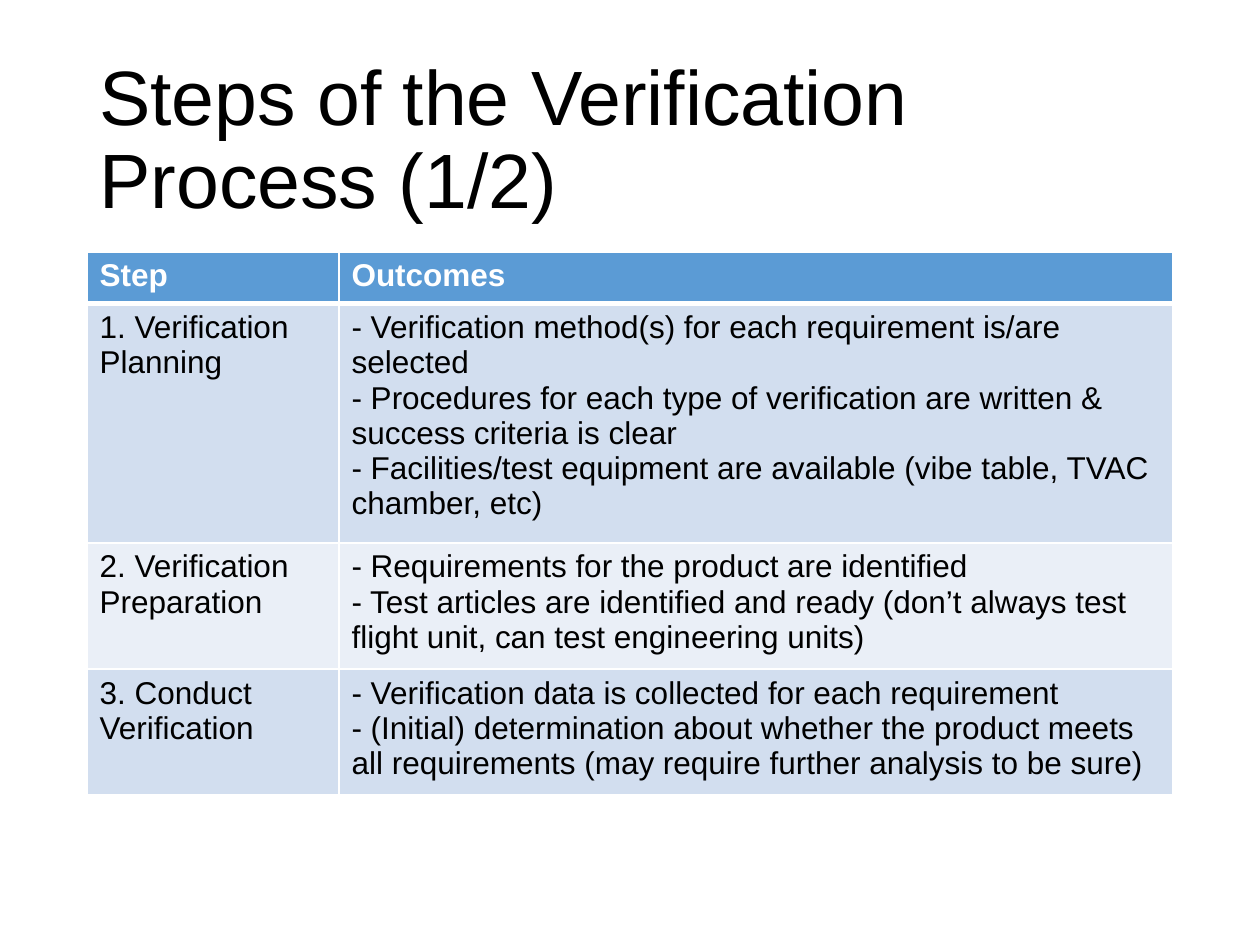
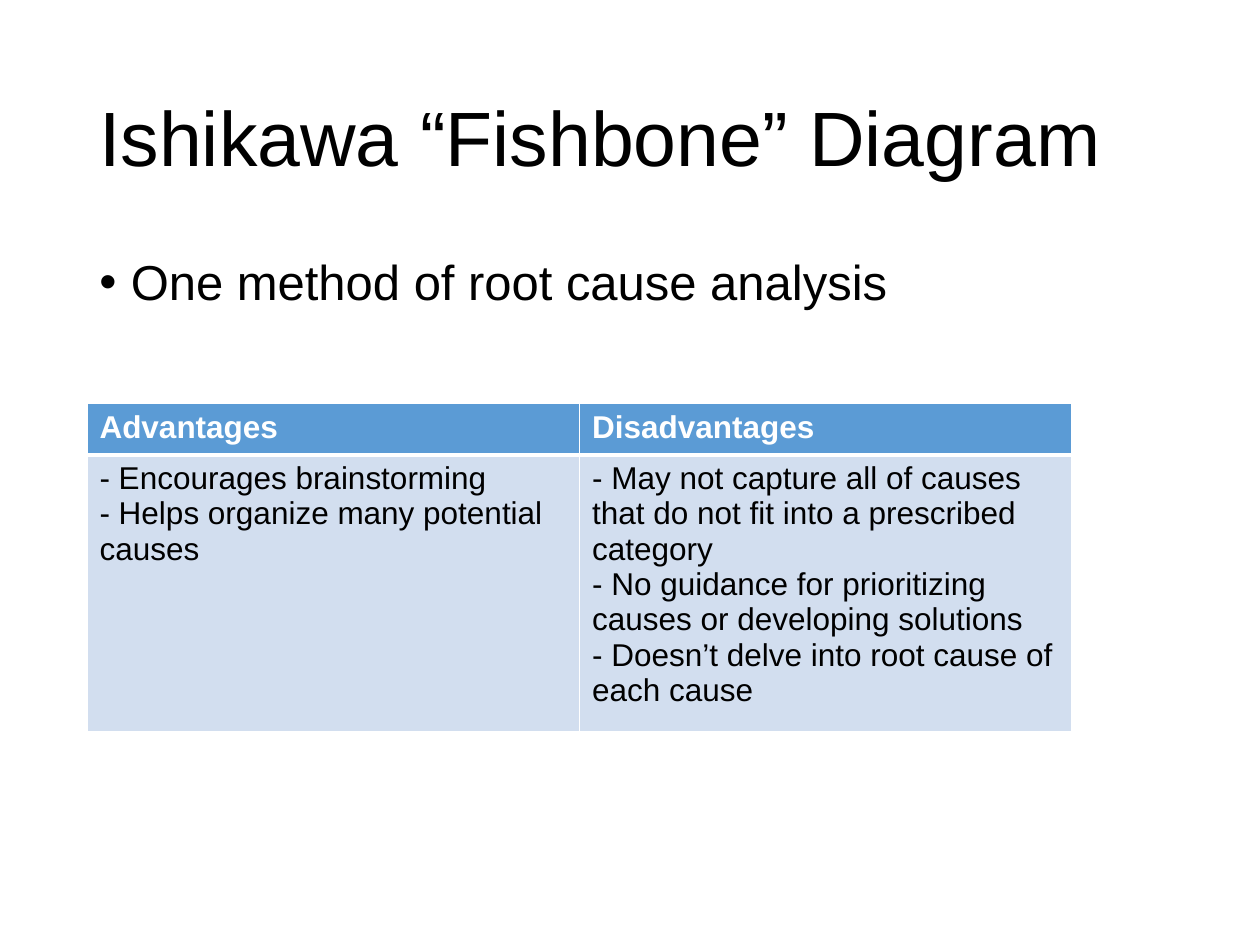
from dataclasses import dataclass

from lxml.etree import SubElement
from pptx import Presentation
from pptx.dml.color import RGBColor
from pptx.enum.text import MSO_ANCHOR
from pptx.oxml import parse_xml
from pptx.oxml.ns import nsdecls, qn
from pptx.util import Inches, Pt

# Content
STEPS = {
    "title": "Steps of the Verification Process (1/2)",
    "bullets": [],
    "top": 2, "height": 4.31, "columns": [2, 6.62],
    "rows": [
        [["Step"], ["Outcomes"]],
        [["1. Verification Planning"],
         ["- Verification method(s) for each requirement is/are selected",
          "- Procedures for each type of verification are written & success criteria is clear",
          "- Facilities/test equipment are available (vibe table, TVAC chamber, etc)"]],
        [["2. Verification Preparation"],
         ["- Requirements for the product are identified",
          "- Test articles are identified and ready (don’t always test flight unit, "
          "can test engineering units)"]],
        [["3. Conduct Verification"],
         ["- Verification data is collected for each requirement",
          "- (Initial) determination about whether the product meets all requirements "
          "(may require further analysis to be sure)"]],
    ],
}
FISHBONE = {
    "title": "Ishikawa “Fishbone” Diagram",
    "bullets": ["One method of root cause analysis"],
    "top": 3.2, "height": 2.61, "columns": [3.91, 3.91],
    "rows": [
        [["Advantages"], ["Disadvantages"]],
        [["- Encourages brainstorming",
          "- Helps organize many potential causes"],
         ["- May not capture all of causes that do not fit into a prescribed category",
          "- No guidance for prioritizing causes or developing solutions",
          "- Doesn’t delve into root cause of each cause"]],
    ],
}


@dataclass(frozen=True)
class Theme:
    font: str = "Arial"
    title_size: int = 44
    bullet_size: int = 28
    table_size: int = 18
    text: str = "000000"
    white: str = "FFFFFF"
    header: str = "5B9BD5"
    bands: tuple = ("D2DEEF", "EAEFF7")
    thin: int = 1
    thick: int = 3


THEME = Theme()
LEFT, WIDTH, ROW_HEIGHT = 0.69, 8.62, 0.41


def add_run(paragraph, text, size, color=THEME.text, bold=False):
    run = paragraph.add_run()
    run.text = text
    run.font.name = THEME.font
    run.font.size = Pt(size)
    run.font.bold = bold
    run.font.color.rgb = RGBColor.from_string(color)


def add_text_box(slide, top, height, anchor):
    box = slide.shapes.add_textbox(Inches(LEFT), Inches(top), Inches(WIDTH), Inches(height))
    box.text_frame.word_wrap = True
    box.text_frame.vertical_anchor = anchor
    return box.text_frame


def add_title(slide, text):
    paragraph = add_text_box(slide, 0.4, 1.45, MSO_ANCHOR.MIDDLE).paragraphs[0]
    paragraph.line_spacing = 0.9
    add_run(paragraph, text, THEME.title_size)


def add_bullets(slide, bullets):
    frame = add_text_box(slide, 2, 4.76, MSO_ANCHOR.TOP)
    for index, text in enumerate(bullets):
        paragraph = frame.add_paragraph() if index else frame.paragraphs[0]
        properties = paragraph._p.get_or_add_pPr()
        properties.set("marL", str(Inches(0.25)))
        properties.set("indent", str(-Inches(0.25)))
        SubElement(properties, qn("a:buFont"), typeface=THEME.font)
        SubElement(properties, qn("a:buChar"), char="•")
        paragraph.line_spacing = 0.9
        if index:
            paragraph.space_before = Pt(10)
        add_run(paragraph, text, THEME.bullet_size)


def set_borders(cell, top, bottom):
    """Border lines come before the fill in the cell properties."""
    properties = cell._tc.get_or_add_tcPr()
    sides = {"L": THEME.thin, "R": THEME.thin, "T": top, "B": bottom}
    for position, (side, width) in enumerate(sides.items()):
        properties.insert(position, parse_xml(
            f'<a:ln{side} {nsdecls("a")} w="{Pt(width)}"><a:solidFill>'
            f'<a:srgbClr val="{THEME.white}"/></a:solidFill></a:ln{side}>'))


def add_table(slide, content):
    rows, columns = content["rows"], content["columns"]
    frame = slide.shapes.add_table(
        len(rows), len(columns), Inches(LEFT), Inches(content["top"]),
        Inches(sum(columns)), Inches(content["height"]))
    table = frame.table
    for column, width in zip(table.columns, columns):
        column.width = Inches(width)
    for row_index, row in enumerate(rows):
        table.rows[row_index].height = Inches(ROW_HEIGHT)
        is_header = row_index == 0
        fill = THEME.header if is_header else THEME.bands[(row_index - 1) % 2]
        color = THEME.white if is_header else THEME.text
        for column_index, lines in enumerate(row):
            cell = table.cell(row_index, column_index)
            cell.fill.solid()
            cell.fill.fore_color.rgb = RGBColor.from_string(fill)
            set_borders(cell,
                        top=THEME.thick if row_index == 1 else THEME.thin,
                        bottom=THEME.thick if is_header else THEME.thin)
            text_frame = cell.text_frame
            for index, line in enumerate(lines):
                paragraph = text_frame.add_paragraph() if index else text_frame.paragraphs[0]
                add_run(paragraph, line, THEME.table_size, color, is_header)
    # Rows grow with their text, so the frame keeps its own height
    frame.height = Inches(content["height"])


def main():
    presentation = Presentation()
    presentation.slide_width, presentation.slide_height = Inches(10), Inches(7.5)
    for content in (STEPS, FISHBONE):
        slide = presentation.slides.add_slide(presentation.slide_layouts[6])
        add_title(slide, content["title"])
        if content["bullets"]:
            add_bullets(slide, content["bullets"])
        add_table(slide, content)
    presentation.save("out.pptx")


if __name__ == "__main__":
    main()
